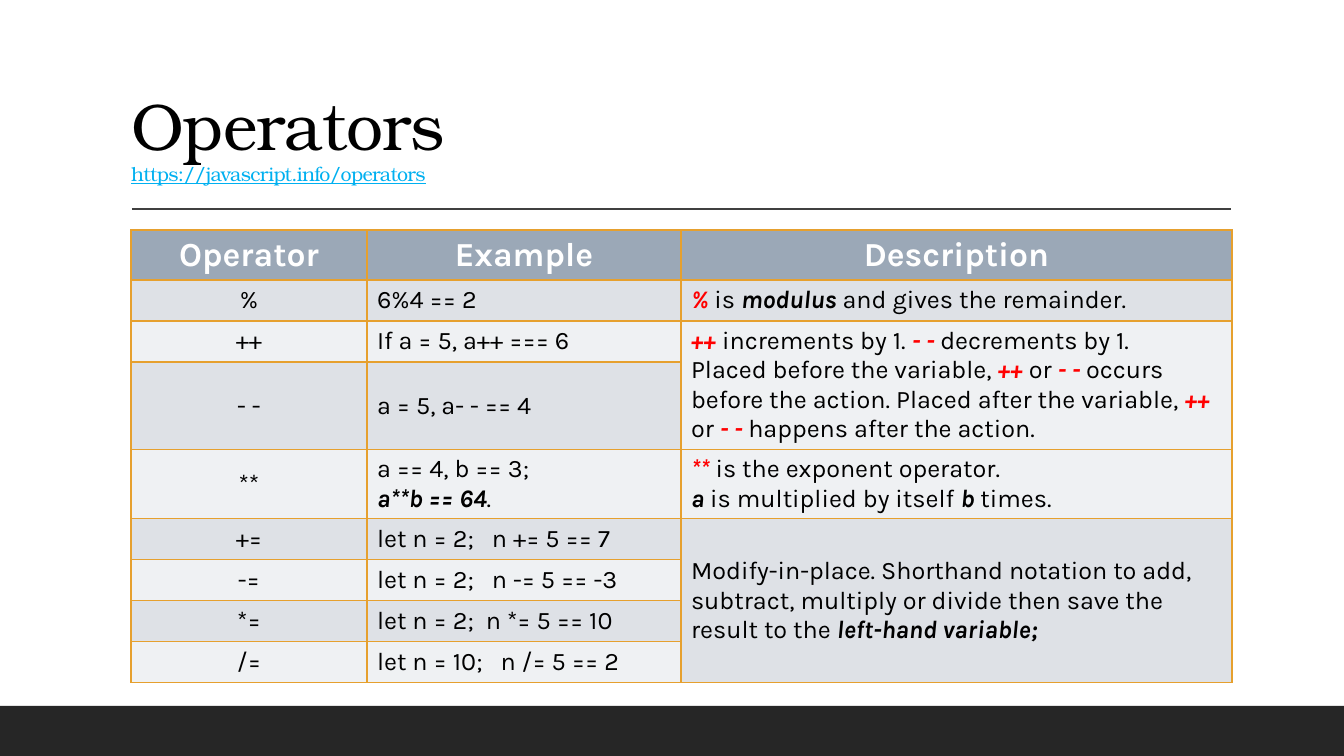
import dataclasses

import lxml.etree
import pptx
import pptx.dml.color
import pptx.enum.shapes
import pptx.enum.text
import pptx.oxml.ns
import pptx.util

PX = 12192000 / 1344


@dataclasses.dataclass(frozen=True)
class Theme:
    """Colours, fonts and type sizes of the slide."""
    heading_font: str = "TeX Gyre Bonum"
    body_font: str = "Karla"
    heading_size: int = 47
    link_size: int = 14
    header_size: int = 24
    body_size: int = 18
    ink: str = "000000"
    paper: str = "FFFFFF"
    link: str = "00B0F0"
    accent: str = "FF0000"
    footer: str = "262626"
    rule: str = "404040"
    border: str = "E6A02E"
    header_fill: str = "9BA8B7"
    bands: tuple = ("DEE1E6", "EFF1F3")


THEME = Theme()


def px(length):
    """Turn slide pixels into EMU."""
    return pptx.util.Emu(round(length * PX))


def rgb(code):
    """Turn a hex code into a colour."""
    return pptx.dml.color.RGBColor.from_string(code)


def symbol(text):
    """Mark an operator shown in the accent colour."""
    return text, THEME.accent


def strong(text):
    """Mark a bold italic term."""
    return text, THEME.ink


HEADERS = ("Operator", "Example", "Description")
EXAMPLES = (
    ("%", [["6%4 == 2"]]),
    ("++", [["If a = 5, a++ === 6"]]),
    ("- -", [["a = 5, a- - == 4"]]),
    ("**", [["a == 4, b == 3;"], [strong("a**b == 64"), "."]]),
    ("+=", [["let n = 2;   n += 5 == 7"]]),
    ("-=", [["let n = 2;   n -= 5 == -3"]]),
    ("*=", [["let n = 2;  n *= 5 == 10"]]),
    ("/=", [["let n = 10;   n /= 5 == 2"]]),
)
DESCRIPTIONS = (
    (1, 1, [[symbol("%"), " is ", strong("modulus"), " and gives the remainder."]]),
    (2, 3, [
        [symbol("++"), " increments by 1. ", symbol("- - "), "decrements by 1."],
        ["Placed before the variable, ", symbol("++ "), "or ", symbol("- - "),
         "occurs before the action. Placed after the variable, ", symbol("++"),
         " or ", symbol("- - "), "happens after the action."],
    ]),
    (4, 4, [
        [symbol("**"), " is the exponent operator."],
        [strong("a"), " is multiplied by itself ", strong("b"), " times."],
    ]),
    (5, 8, [["Modify-in-place. Shorthand notation to add, subtract, multiply or "
             "divide then save the result to the ", strong("left-hand variable;")]]),
)
COLUMN_WIDTHS = (236, 314, 551)
ROW_HEIGHTS = (50, 41, 41, 87, 69, 41, 41, 41, 41)


def add_heading(slide, left, top, width, height):
    """Place the title with its source address below it."""
    title = slide.shapes.title
    title.left, title.top, title.width, title.height = map(px, (left, top, width, height))
    frame = title.text_frame
    frame.word_wrap = True
    frame.auto_size = pptx.enum.text.MSO_AUTO_SIZE.NONE
    frame.vertical_anchor = pptx.enum.text.MSO_ANCHOR.BOTTOM
    heading = frame.paragraphs[0]
    heading.alignment = pptx.enum.text.PP_ALIGN.LEFT
    heading.line_spacing = 0.9
    heading.font.name = THEME.heading_font
    topic = heading.add_run()
    heading.add_line_break()
    address = heading.add_run()
    for run, text, size, colour in (
            (topic, "Operators", THEME.heading_size, THEME.ink),
            (address, "https://javascript.info/operators", THEME.link_size, THEME.link)):
        run.text = text
        run.font.size = pptx.util.Pt(size)
        run.font.color.rgb = rgb(colour)
        run.font._element.set("spc", "-50")
    address.font.underline = True


def add_rule(slide, left, top, width):
    """Draw the line under the heading."""
    rule = slide.shapes.add_connector(
        pptx.enum.shapes.MSO_CONNECTOR.STRAIGHT,
        px(left), px(top), px(left + width), px(top))
    rule.line.color.rgb = rgb(THEME.rule)
    rule.line.width = pptx.util.Pt(1)
    lxml.etree.SubElement(rule._element.spPr, pptx.oxml.ns.qn("a:effectLst"))


def add_footer(slide, left, top, width, height):
    """Draw the dark band at the foot of the slide."""
    band = slide.shapes.add_shape(
        pptx.enum.shapes.MSO_SHAPE.RECTANGLE, *map(px, (left, top, width, height)))
    band.shadow.inherit = False
    band.fill.solid()
    band.fill.fore_color.rgb = rgb(THEME.footer)
    band.line.fill.background()


def style_cell(cell, fill):
    """Give a cell its borders, fill and anchor."""
    properties = cell._tc.get_or_add_tcPr()
    for side in ("lnL", "lnR", "lnT", "lnB"):
        edge = lxml.etree.SubElement(
            properties, pptx.oxml.ns.qn(f"a:{side}"), w=str(pptx.util.Pt(1)))
        paint = lxml.etree.SubElement(edge, pptx.oxml.ns.qn("a:solidFill"))
        lxml.etree.SubElement(paint, pptx.oxml.ns.qn("a:srgbClr"), val=THEME.border)
    cell.fill.solid()
    cell.fill.fore_color.rgb = rgb(fill)
    cell.vertical_anchor = pptx.enum.text.MSO_ANCHOR.MIDDLE


def write_cell(cell, lines, centred=False, header=False):
    """Write lines of plain and marked pieces into a cell."""
    frame = cell.text_frame
    for index, pieces in enumerate(lines):
        line = frame.add_paragraph() if index else frame.paragraphs[0]
        if centred:
            line.alignment = pptx.enum.text.PP_ALIGN.CENTER
        line.font.name = THEME.body_font
        line.font.size = pptx.util.Pt(THEME.header_size if header else THEME.body_size)
        line.font.bold = header
        line.font.color.rgb = rgb(THEME.paper if header else THEME.ink)
        for piece in pieces:
            run = line.add_run()
            if isinstance(piece, str):
                run.text = piece
            else:
                run.text, colour = piece
                run.font.bold = run.font.italic = True
                run.font.color.rgb = rgb(colour)


def add_operator_table(slide, left, top):
    """Build the table of operators, examples and descriptions."""
    table = slide.shapes.add_table(
        len(ROW_HEIGHTS), len(COLUMN_WIDTHS), px(left), px(top),
        px(sum(COLUMN_WIDTHS)), px(sum(ROW_HEIGHTS))).table
    for column, width in zip(table.columns, COLUMN_WIDTHS):
        column.width = px(width)
    for index, (row, height) in enumerate(zip(table.rows, ROW_HEIGHTS)):
        row.height = px(height)
        for cell in row.cells:
            style_cell(cell, THEME.bands[(index - 1) % 2] if index else THEME.header_fill)
    for column, header in enumerate(HEADERS):
        write_cell(table.cell(0, column), [[header]], centred=True, header=True)
    for row, (operator, example) in enumerate(EXAMPLES, start=1):
        write_cell(table.cell(row, 0), [[operator]], centred=True)
        write_cell(table.cell(row, 1), example)
    for first, last, description in DESCRIPTIONS:
        if last > first:
            table.cell(first, 2).merge(table.cell(last, 2))
        write_cell(table.cell(first, 2), description)


def main():
    """Build the slide and save it."""
    deck = pptx.Presentation()
    deck.slide_width, deck.slide_height = px(1344), px(756)
    slide = deck.slides.add_slide(deck.slide_layouts[5])
    add_footer(slide, 0, 706, 1344, 50)
    add_rule(slide, 132, 209, 1099)
    add_heading(slide, 121, 31, 1109, 160)
    add_operator_table(slide, 131, 230)
    deck.save("out.pptx")


if __name__ == "__main__":
    main()
